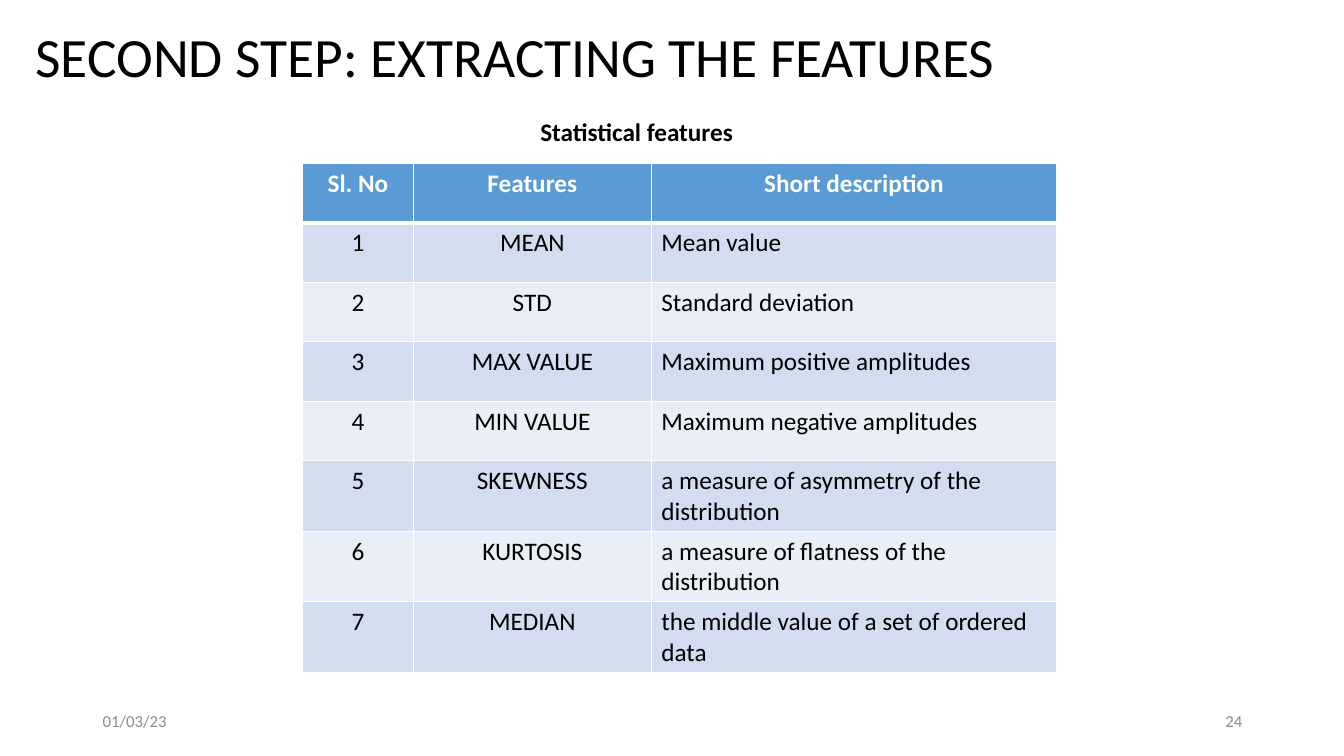
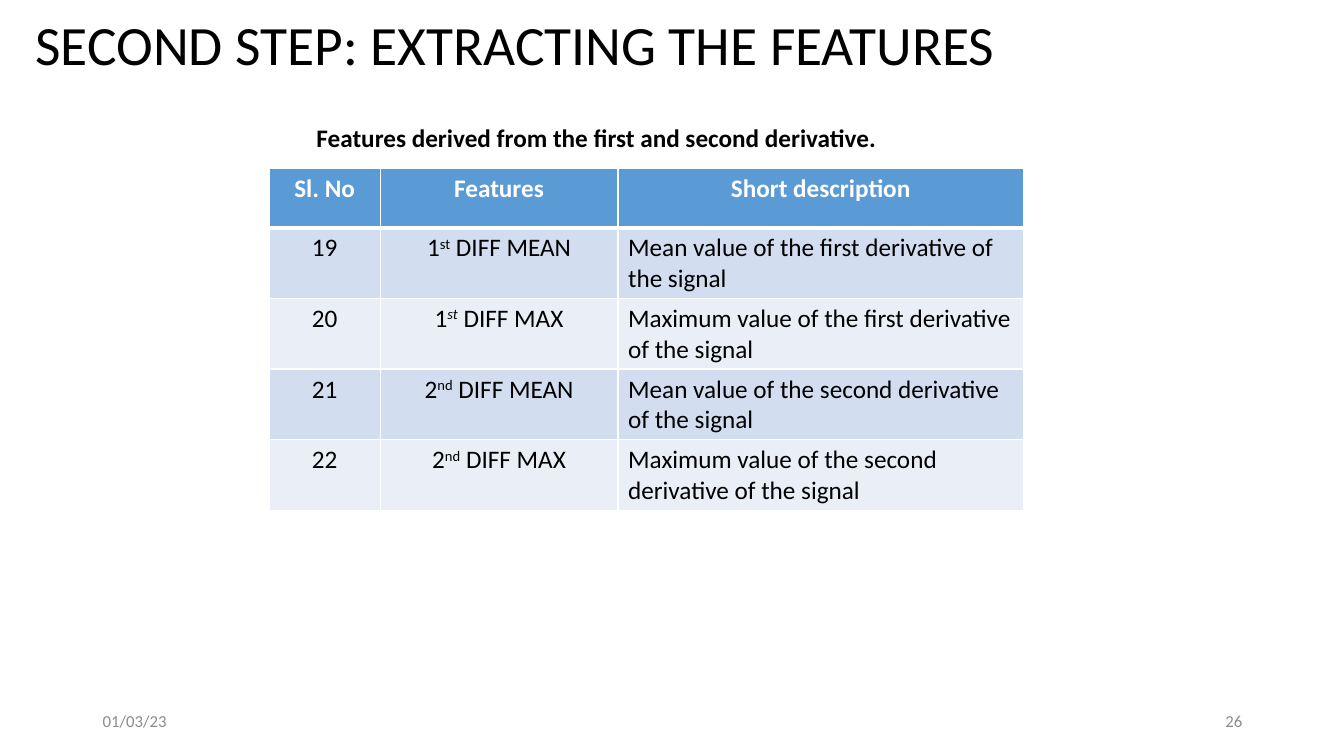
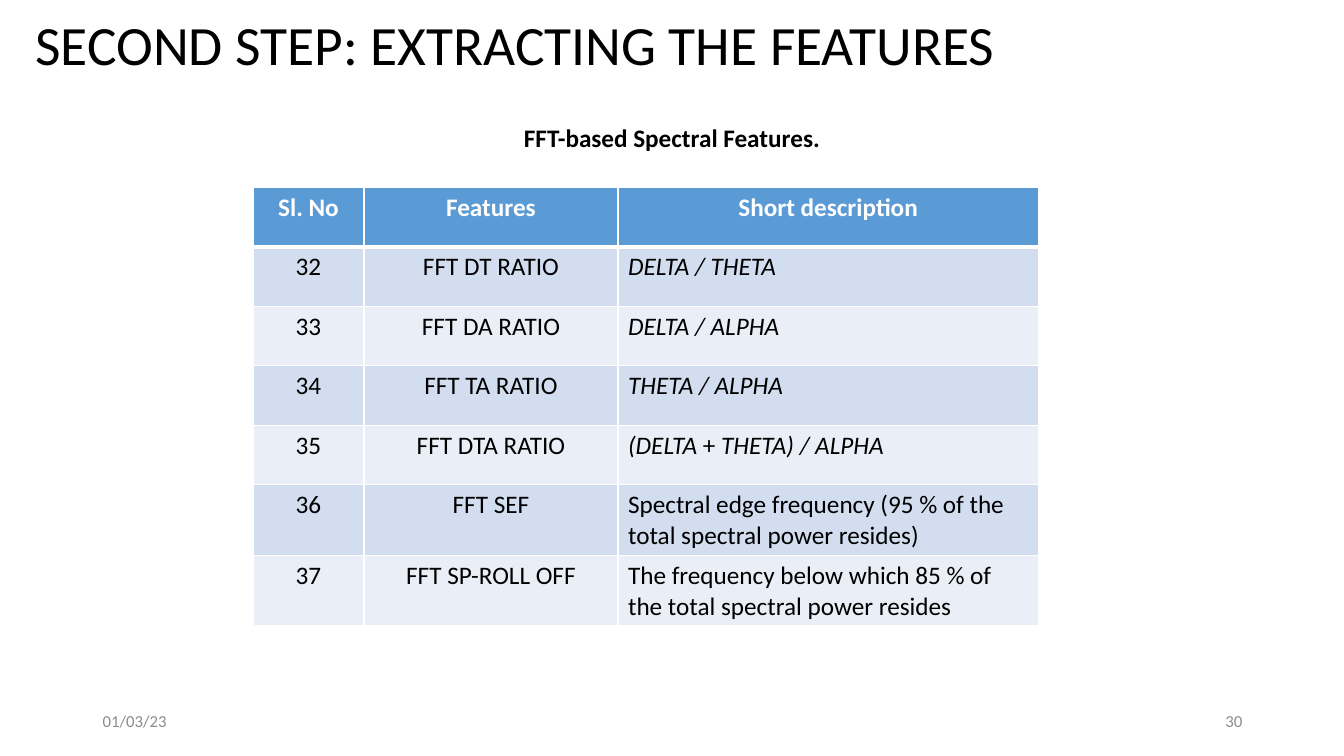
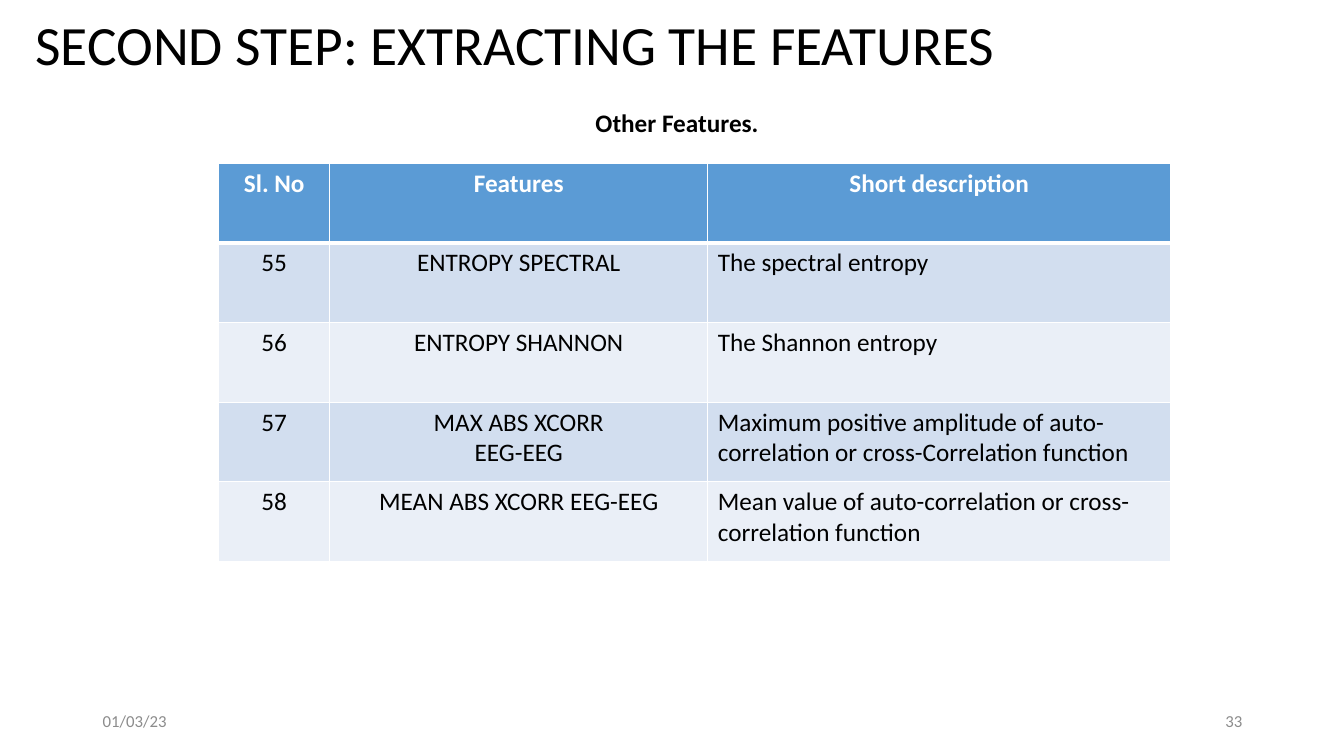
from dataclasses import dataclass

from lxml.etree import SubElement
from pptx import Presentation
from pptx.dml.color import RGBColor
from pptx.enum.text import MSO_ANCHOR as Anchor, MSO_AUTO_SIZE as AutoSize, PP_ALIGN as Align
from pptx.oxml.ns import qn
from pptx.util import Emu, Pt


@dataclass(frozen=True)
class Theme:
    font: str = "Calibri"
    black: str = "000000"
    white: str = "FFFFFF"
    gray: str = "8C8C8C"
    header: str = "5B9BD5"
    bands: tuple = ("D2DEEF", "EAEFF7")
    title_size: float = 39.6
    body_size: int = 18
    footer_size: int = 12
    thin_border: int = 1
    thick_border: int = 3


THEME = Theme()
PX = 9144  # 100 px to the inch
SLIDE_SIZE = (1333, 750)
TITLE = "SECOND STEP: EXTRACTING THE FEATURES"
DATE = "01/03/23"
DATE_BOX = (92, 695, 300, 40)
NUMBER_BOX = (942, 695, 300, 40)
HEADER = ("Sl. No", "Features", "Short description")
ITALIC = {"italic": True}
SUPER = {"superscript": True}


def ordinal(digit, suffix, name, **style):
    return [(digit, {}), (suffix, SUPER | style), (" " + name, {})]


# A cell is a string, or a list of (text, format) runs.
SLIDES = [
    dict(
        number="24", title_top=25,
        caption="Statistical features", caption_box=(520, 110, 223, 40), caption_align=Align.CENTER,
        table_at=(300, 162), columns=(110, 236, 402), row_height=59, first=1,
        rows=[
            ("MEAN", "Mean value"),
            ("STD", "Standard deviation"),
            ("MAX VALUE", "Maximum positive amplitudes"),
            ("MIN VALUE", "Maximum negative amplitudes"),
            ("SKEWNESS", "a measure of asymmetry of the distribution"),
            ("KURTOSIS", "a measure of flatness of the distribution"),
            ("MEDIAN", "the middle value of a set of ordered data"),
        ],
    ),
    dict(
        number="26", title_top=13,
        caption="Features derived from the first and second derivative.",
        caption_box=(304, 116, 732, 40), caption_align=Align.LEFT,
        table_at=(267, 167), columns=(110, 236, 402), row_height=59, first=19,
        rows=[
            (ordinal("1", "st", "DIFF MEAN"), "Mean value of the first derivative of the signal"),
            (ordinal("1", "st", "DIFF MAX", italic=True),
             "Maximum value of the first derivative of the signal"),
            (ordinal("2", "nd", "DIFF MEAN"), "Mean value of the second derivative of the signal"),
            (ordinal("2", "nd", "DIFF MAX"), "Maximum value of the second derivative of the signal"),
        ],
    ),
    dict(
        number="30", title_top=13,
        caption="FFT-based Spectral Features.", caption_box=(249, 116, 835, 40),
        caption_align=Align.CENTER,
        table_at=(251, 186), columns=(110, 252, 417), row_height=59, first=32,
        rows=[
            ("FFT DT RATIO", [("DELTA / THETA", ITALIC)]),
            ("FFT DA RATIO", [("DELTA / ALPHA", ITALIC)]),
            ("FFT TA RATIO", [("THETA / ALPHA", ITALIC)]),
            ("FFT DTA RATIO", [("(DELTA ", ITALIC), ("+ ", {}), ("THETA) / ALPHA", ITALIC)]),
            ("FFT SEF", "Spectral edge frequency (95 % of the total spectral power resides)"),
            ("FFT SP-ROLL OFF", "The frequency below which 85 % of the total spectral power resides"),
        ],
    ),
    dict(
        number="33", title_top=13,
        caption="Other Features.", caption_box=(254, 102, 835, 40), caption_align=Align.CENTER,
        table_at=(217, 162), columns=(110, 375, 459), row_height=79, first=55,
        rows=[
            ("ENTROPY SPECTRAL", "The spectral entropy"),
            ("ENTROPY SHANNON", "The Shannon entropy"),
            ("MAX ABS XCORR\nEEG-EEG",
             "Maximum positive amplitude of auto-correlation or cross-Correlation function"),
            ("MEAN ABS XCORR EEG-EEG", "Mean value of auto-correlation or cross-correlation function"),
        ],
    ),
]


def emu(*lengths):
    return [Emu(length * PX) for length in lengths]


def write(frame, content, size=THEME.body_size, color=THEME.black, bold=False,
          align=Align.LEFT, anchor=Anchor.TOP, line_spacing=None):
    """Fill a text frame with a string (one paragraph a line) or one paragraph of runs."""
    frame.word_wrap = True
    frame.vertical_anchor = anchor
    if isinstance(content, str):
        lines = [[(line, {})] for line in content.split("\n")]
    else:
        lines = [content]
    for index, runs in enumerate(lines):
        paragraph = frame.add_paragraph() if index else frame.paragraphs[0]
        paragraph.alignment = align
        paragraph.line_spacing = line_spacing
        for text, style in runs:
            run = paragraph.add_run()
            run.text = text
            font = run.font
            font.name, font.size, font.bold = THEME.font, Pt(size), bold
            font.italic = style.get("italic", False)
            font.color.rgb = RGBColor.from_string(color)
            if style.get("superscript"):
                run._r.get_or_add_rPr().set("baseline", "30000")


def add_text(slide, box, content, **style):
    write(slide.shapes.add_textbox(*emu(*box)).text_frame, content, **style)


def add_title(slide, top):
    title = slide.shapes.title
    title.left, title.top, title.width, title.height = emu(25, top, 1150, 68)
    title.text_frame.auto_size = AutoSize.NONE
    write(title.text_frame, TITLE, size=THEME.title_size, anchor=Anchor.MIDDLE, line_spacing=0.9)


def add_footer(slide, number):
    style = dict(size=THEME.footer_size, color=THEME.gray, anchor=Anchor.MIDDLE)
    add_text(slide, DATE_BOX, DATE, **style)
    add_text(slide, NUMBER_BOX, number, align=Align.RIGHT, **style)


def set_borders(cell, **widths):
    properties = cell._tc.get_or_add_tcPr()
    for side in "LRTB":
        width = widths.get(side, THEME.thin_border)
        line = SubElement(properties, qn(f"a:ln{side}"), w=str(Pt(width)))
        fill = SubElement(line, qn("a:solidFill"))
        SubElement(fill, qn("a:srgbClr"), val=THEME.white)


def add_feature_table(slide, at, columns, row_height, first, rows):
    """Number the rows from first and lay them out under the shared header."""
    records = [HEADER] + [(str(first + index), *row) for index, row in enumerate(rows)]
    frame = slide.shapes.add_table(len(records), len(columns),
                                   *emu(*at, sum(columns), row_height * len(records)))
    table = frame.table
    table.horz_banding = False
    for column, width in zip(table.columns, emu(*columns)):
        column.width = width
    for row_index, record in enumerate(records):
        is_header = row_index == 0
        table.rows[row_index].height = Emu(row_height * PX)
        for column_index, content in enumerate(record):
            cell = table.cell(row_index, column_index)
            # The rule under the header is shared by the first two rows.
            thick_side = {0: "B", 1: "T"}.get(row_index)
            set_borders(cell, **({thick_side: THEME.thick_border} if thick_side else {}))
            cell.fill.solid()
            fill = THEME.header if is_header else THEME.bands[(row_index - 1) % 2]
            cell.fill.fore_color.rgb = RGBColor.from_string(fill)
            centered = is_header or column_index < 2
            write(cell.text_frame, content, bold=is_header,
                  color=THEME.white if is_header else THEME.black,
                  align=Align.CENTER if centered else Align.LEFT)


def main():
    presentation = Presentation()
    presentation.slide_width, presentation.slide_height = emu(*SLIDE_SIZE)
    title_only = presentation.slide_layouts[5]
    for content in SLIDES:
        slide = presentation.slides.add_slide(title_only)
        add_title(slide, content["title_top"])
        add_text(slide, content["caption_box"], content["caption"], bold=True,
                 align=content["caption_align"])
        add_feature_table(slide, content["table_at"], content["columns"],
                          content["row_height"], content["first"], content["rows"])
        add_footer(slide, content["number"])
    presentation.save("out.pptx")


if __name__ == "__main__":
    main()
